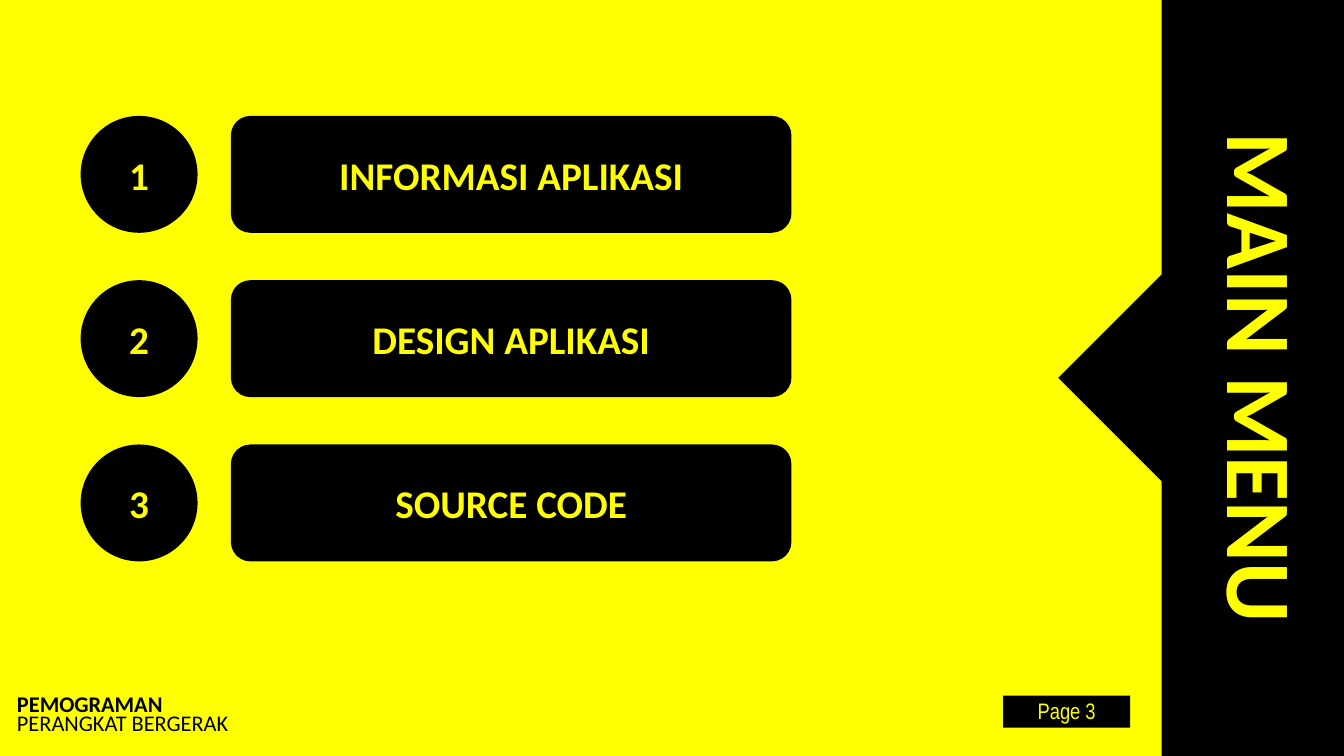
"""Build the main menu slide with three numbered entries."""
from pptx import Presentation
from pptx.dml.color import RGBColor
from pptx.enum.shapes import MSO_SHAPE
from pptx.enum.text import MSO_ANCHOR, MSO_AUTO_SIZE, PP_ALIGN
from pptx.util import Inches, Pt

YELLOW, BLACK = "FFFF00", "000000"
TITLE = "MAIN MENU"
MENU = ["INFORMASI APLIKASI", "DESIGN APLIKASI", "SOURCE CODE"]
FOOTER = [("PEMOGRAMAN", True, 6.83), ("PERANGKAT BERGERAK", False, 7.02)]
PAGE = "Page 3"

WIDTH, HEIGHT = 13.33, 7.5
BAR_LEFT = 11.52
POINTER = 1.47
MENU_TOP, MENU_PITCH, ROW_HEIGHT = 1.15, 1.63, 1.16
CIRCLE_LEFT, BUTTON_LEFT, BUTTON_WIDTH = 0.8, 2.29, 5.56

MENU_FONT = {"name": "Calibri", "size": Pt(28), "bold": True}
TITLE_FONT = {"name": "Calibri", "size": Pt(66), "bold": True}
FOOTER_FONT = {"name": "Calibri", "size": Pt(16)}
PAGE_FONT = {"name": "Arial Narrow", "size": Pt(16), "bold": False}
SPACED = {"line_spacing": 0.9, "space_before": Pt(10)}
CENTRED = {"alignment": PP_ALIGN.CENTER}
TOP_FRAME = {"word_wrap": True, "auto_size": MSO_AUTO_SIZE.NONE,
             "vertical_anchor": MSO_ANCHOR.TOP}
MIDDLE_FRAME = {**TOP_FRAME, "vertical_anchor": MSO_ANCHOR.MIDDLE}


def rgb(value):
    """Turn a hex string into a colour."""
    return RGBColor.from_string(value)


def apply(target, values):
    """Set every attribute named in a dict."""
    for name, value in values.items():
        setattr(target, name, value)


def write(sp, text, color, font, para, frame):
    """Put one formatted line of text in a shape."""
    tf = sp.text_frame
    apply(tf, frame)
    p = tf.paragraphs[0]
    apply(p, para)
    r = p.add_run()
    r.text = text
    apply(r.font, font)
    r.font.color.rgb = rgb(color)


def add_block(s, kind, *box):
    """Add a plain black shape."""
    sp = s.shapes.add_shape(kind, *map(Inches, box))
    sp.shadow.inherit = False
    sp.fill.solid()
    sp.fill.fore_color.rgb = rgb(BLACK)
    sp.line.fill.background()
    return sp


def add_title(s):
    """Turn the title on its side and place it over the bar."""
    title = s.shapes.title
    apply(title, {"left": Inches(8.67), "top": Inches(3.15),
                  "width": Inches(HEIGHT), "height": Inches(1.2), "rotation": 90})
    write(title, TITLE, YELLOW, TITLE_FONT, {**CENTRED, **SPACED}, TOP_FRAME)
    title.element.getparent().append(title.element)


def main():
    """Compose and save the slide."""
    prs = Presentation()
    prs.slide_width, prs.slide_height = Inches(WIDTH), Inches(HEIGHT)
    s = prs.slides.add_slide(prs.slide_layouts[5])
    s.background.fill.solid()
    s.background.fill.fore_color.rgb = rgb(YELLOW)

    add_block(s, MSO_SHAPE.RECTANGLE, BAR_LEFT, 0, WIDTH - BAR_LEFT, HEIGHT)
    pointer = add_block(s, MSO_SHAPE.RECTANGLE, 10.8, (HEIGHT - POINTER) / 2,
                        POINTER, POINTER)
    pointer.rotation = 45
    add_title(s)

    for i, label in enumerate(MENU):
        top = MENU_TOP + i * MENU_PITCH
        for kind, left, width, text in (
                (MSO_SHAPE.OVAL, CIRCLE_LEFT, ROW_HEIGHT, str(i + 1)),
                (MSO_SHAPE.ROUNDED_RECTANGLE, BUTTON_LEFT, BUTTON_WIDTH, label)):
            sp = add_block(s, kind, left, top, width, ROW_HEIGHT)
            write(sp, text, YELLOW, MENU_FONT, CENTRED, MIDDLE_FRAME)

    for text, bold, top in FOOTER:
        sp = s.shapes.add_textbox(*map(Inches, (0.07, top, 2.51, 0.39)))
        write(sp, text, BLACK, {**FOOTER_FONT, "bold": bold}, SPACED, TOP_FRAME)

    page = add_block(s, MSO_SHAPE.RECTANGLE, 9.95, 6.9, 1.26, 0.32)
    write(page, PAGE, YELLOW, PAGE_FONT, {**CENTRED, **SPACED}, TOP_FRAME)

    prs.save("out.pptx")


if __name__ == "__main__":
    main()
